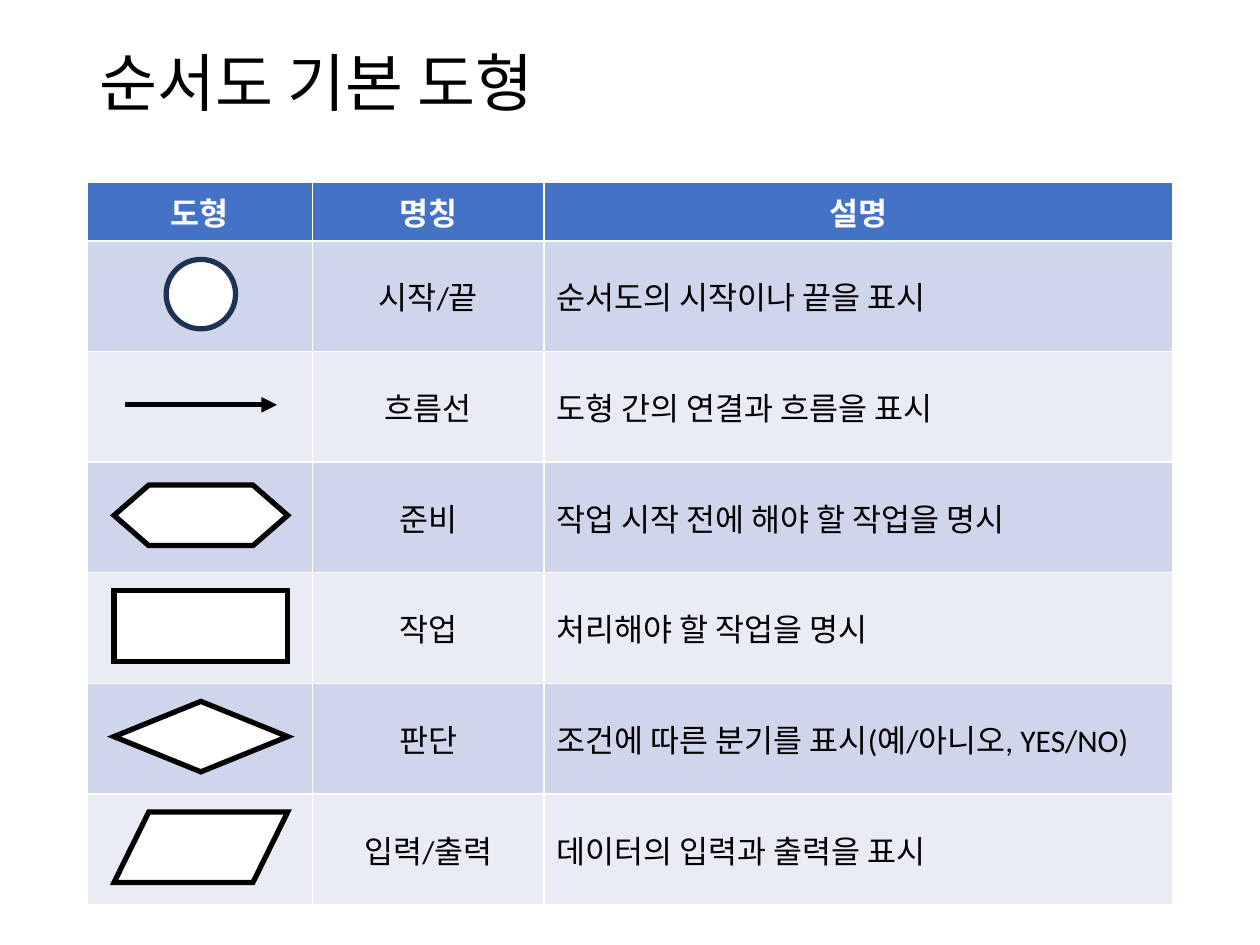
import dataclasses

import lxml.etree
import pptx
import pptx.dml.color
import pptx.enum.shapes
import pptx.enum.text
import pptx.oxml.ns
import pptx.util

Cm = pptx.util.Cm
Pt = pptx.util.Pt
SHAPE = pptx.enum.shapes.MSO_SHAPE
ALIGN = pptx.enum.text.PP_ALIGN
MIDDLE = pptx.enum.text.MSO_ANCHOR.MIDDLE


@dataclasses.dataclass(frozen=True)
class Theme:
    font: str = "Calibri"
    title_size: int = 36
    body_size: int = 18
    outline_width: int = 3
    black: str = "000000"
    white: str = "FFFFFF"
    navy: str = "1E3256"
    header: str = "4472C4"
    bands: tuple = ("CFD5EA", "E9EBF5")


THEME = Theme()

LEFT, TABLE_TOP = 1.75, 3.68
COLUMN_WIDTHS = (4.55, 4.67, 12.68)
HEADER_HEIGHT, ROW_HEIGHT = 1.07, 2.23
SYMBOL_X, FIRST_SYMBOL_Y = 4.05, 5.93

HEADINGS = ("도형", "명칭", "설명")
MEANINGS = (
    ("시작/끝", "순서도의 시작이나 끝을 표시"),
    ("흐름선", "도형 간의 연결과 흐름을 표시"),
    ("준비", "작업 시작 전에 해야 할 작업을 명시"),
    ("작업", "처리해야 할 작업을 명시"),
    ("판단", "조건에 따른 분기를 표시(예/아니오, YES/NO)"),
    ("입력/출력", "데이터의 입력과 출력을 표시"),
)
SYMBOLS = (
    (SHAPE.OVAL, 1.4, 1.4, THEME.navy),
    (None, 3.07, 0, THEME.black),
    (SHAPE.FLOWCHART_PREPARATION, 3.5, 1.22, THEME.black),
    (SHAPE.RECTANGLE, 3.5, 1.42, THEME.black),
    (SHAPE.FLOWCHART_DECISION, 3.5, 1.42, THEME.black),
    (SHAPE.FLOWCHART_DATA, 3.5, 1.42, THEME.black),
)


def rgb(value):
    return pptx.dml.color.RGBColor.from_string(value)


def set_attributes(target, values):
    for name, value in values.items():
        setattr(target, name, value)


def add_element(parent, tag, **attributes):
    return lxml.etree.SubElement(parent, pptx.oxml.ns.qn(tag), attributes)


def write_text(frame, text, size, color, bold, align):
    frame.text = text
    paragraph = frame.paragraphs[0]
    paragraph.alignment = align
    font = paragraph.runs[0].font
    set_attributes(font, {"name": THEME.font, "size": Pt(size), "bold": bold})
    font.color.rgb = rgb(color)


def add_title(slide, text):
    title = slide.shapes.title
    set_attributes(title, {
        "left": Cm(LEFT), "top": Cm(0.56),
        "width": Cm(sum(COLUMN_WIDTHS)), "height": Cm(2.36),
    })
    write_text(title.text_frame, text, THEME.title_size, THEME.black, False, ALIGN.LEFT)
    title.text_frame.vertical_anchor = MIDDLE
    title.text_frame.paragraphs[0].line_spacing = 0.9


def fill_cell(cell, text, fill, color, bold, align):
    cell.fill.solid()
    cell.fill.fore_color.rgb = rgb(fill)
    cell.vertical_anchor = MIDDLE
    if text:
        write_text(cell.text_frame, text, THEME.body_size, color, bold, align)


def add_meaning_table(slide):
    heights = [HEADER_HEIGHT] + [ROW_HEIGHT] * len(MEANINGS)
    table = slide.shapes.add_table(
        len(heights), len(HEADINGS), Cm(LEFT), Cm(TABLE_TOP),
        Cm(sum(COLUMN_WIDTHS)), Cm(sum(heights)),
    ).table
    for column, width in zip(table.columns, COLUMN_WIDTHS):
        column.width = Cm(width)
    for row, height in zip(table.rows, heights):
        row.height = Cm(height)
    for column, heading in enumerate(HEADINGS):
        fill_cell(table.cell(0, column), heading, THEME.header, THEME.white, True, ALIGN.CENTER)
    aligns = (ALIGN.CENTER, ALIGN.CENTER, ALIGN.LEFT)
    for index, meaning in enumerate(MEANINGS):
        band = THEME.bands[index % 2]
        for column, text in enumerate(("", *meaning)):
            fill_cell(table.cell(index + 1, column), text, band, THEME.black, False, aligns[column])


def set_outline(symbol, color):
    symbol.line.color.rgb = rgb(color)
    symbol.line.width = Pt(THEME.outline_width)
    outline = symbol.line._get_or_add_ln()
    add_element(outline, "a:miter", lim="800000")
    return outline


def add_flow_arrow(slide, center_y, width, color):
    arrow = slide.shapes.add_connector(
        pptx.enum.shapes.MSO_CONNECTOR.STRAIGHT,
        Cm(SYMBOL_X - width / 2), Cm(center_y), Cm(SYMBOL_X + width / 2), Cm(center_y),
    )
    add_element(set_outline(arrow, color), "a:tailEnd", type="triangle")
    add_element(arrow._element.spPr, "a:effectLst")


def add_symbol(slide, preset, center_y, width, height, color):
    symbol = slide.shapes.add_shape(
        preset, Cm(SYMBOL_X - width / 2), Cm(center_y - height / 2), Cm(width), Cm(height)
    )
    symbol.shadow.inherit = False
    symbol.fill.solid()
    symbol.fill.fore_color.rgb = rgb(THEME.white)
    set_outline(symbol, color)


def main():
    deck = pptx.Presentation()
    set_attributes(deck, {"slide_width": Cm(25.4), "slide_height": Cm(19.05)})
    slide = deck.slides.add_slide(deck.slide_layouts[5])
    add_title(slide, "순서도 기본 도형")
    add_meaning_table(slide)
    for index, (preset, width, height, color) in enumerate(SYMBOLS):
        center_y = FIRST_SYMBOL_Y + index * ROW_HEIGHT
        if preset is None:
            add_flow_arrow(slide, center_y, width, color)
        else:
            add_symbol(slide, preset, center_y, width, height, color)
    deck.save("out.pptx")


if __name__ == "__main__":
    main()
